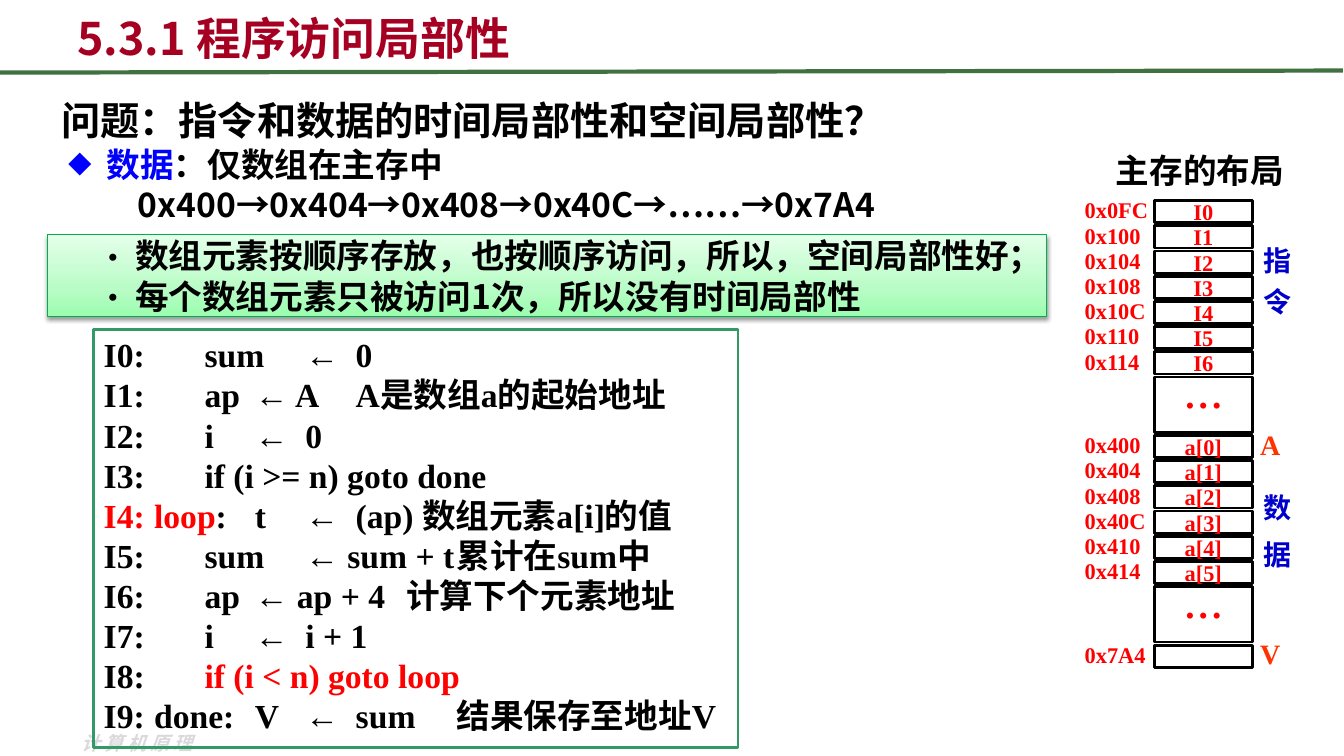
from lxml import etree
from pptx import Presentation
from pptx import util as u
from pptx.dml.color import RGBColor
from pptx.enum import shapes, text
from pptx.oxml import parse_xml
from pptx.oxml.ns import nsdecls, qn

SANS, SERIF = "Noto Sans CJK SC", "Times New Roman"
BLACK, RED, BLUE = "000000", "FF0000", "0000FF"
LEADING = 28.6
PAD = (0.1, 0.05, 0.1, 0.05)

# Memory column: left edges, first row, row height and gap
ADDR_X, CELL_X, SIDE_X = 10.66, 11.45, 12.4
MEM_TOP, CELL_W, ROW_H, SKIP_H, ROW_GAP = 1.99, 0.97, 0.22, 0.55, 0.03
DOTS = "• • •"
MEMORY = [
    ("0x0FC", "I0"), ("0x100", "I1"), ("0x104", "I2"), ("0x108", "I3"),
    ("0x10C", "I4"), ("0x110", "I5"), ("0x114", "I6"), ("", DOTS),
    ("0x400", "a[0]"), ("0x404", "a[1]"), ("0x408", "a[2]"), ("0x40C", "a[3]"),
    ("0x410", "a[4]"), ("0x414", "a[5]"), ("", DOTS), ("0x7A4", ""),
]
SIDE_MARKS = {"0x400": "A", "0x7A4": "V"}

# Code lines: runs, then the tab stops that follow the label and statement columns
LABEL_TAB, CODE_TAB = 0.57, 1.38
CODE = [
    (["I0:\t\tsum\t←\t0"], [2.14, 2.64]),
    (["I1:\t\tap\t← A\tA是数组a的起始地址"], [1.9, 2.75]),
    (["I2:\t\ti\t←\t0"], [1.72, 2.21]),
    (["I3:\t\tif (i >= n) goto done"], []),
    ([("I4:\tloop", RED), ":\tt\t←\t(ap) 数组元素a[i]的值"], [1.82, 2.31]),
    (["I5:\t\tsum\t← sum + t\t累计在sum中"], [2.14, 3.94]),
    (["I6:\t\tap\t← ap + 4\t计算下个元素地址"], [1.9, 3.51]),
    (["I7:\t\ti\t←\ti + 1"], [1.81, 2.3]),
    (["I8:\t\t", ("if (i < n) goto loop", RED)], []),
    (["I9:\tdone:\tV\t←\tsum\t结果保存至地址V"], [1.87, 2.36, 3.28]),
]


def rgb(value):
    return RGBColor.from_string(value)


def sub(parent, tag, **attrs):
    return etree.SubElement(parent, qn(tag), attrs)


def set_frame(sp, pad=PAD, anchor=text.MSO_ANCHOR.TOP):
    tf = sp.text_frame
    tf.word_wrap = True
    tf.vertical_anchor = anchor
    tf.margin_left, tf.margin_top, tf.margin_right, tf.margin_bottom = map(u.Inches, pad)
    return tf


def add_box(s, left, top, width, height, **frame):
    sp = s.shapes.add_textbox(*map(u.Inches, (left, top, width, height)))
    return set_frame(sp, **frame)


def add_rect(s, left, top, width, height, line, weight, fill=None):
    sp = s.shapes.add_shape(shapes.MSO_SHAPE.RECTANGLE,
                            *map(u.Inches, (left, top, width, height)))
    sp.shadow.inherit = False
    sp.line.color.rgb = rgb(line)
    sp.line.width = u.Pt(weight)
    if fill:
        sp.fill.solid()
        sp.fill.fore_color.rgb = rgb(fill)
    else:
        sp.fill.background()
    return sp


def write(tf, runs, size, color=BLACK, name=SERIF, align=text.PP_ALIGN.LEFT,
          leading=None, margin=0, hang=0, bullet=None, tabs=()):
    """Add one bold paragraph; a run is a string or a (string, colour) pair."""
    p = tf.paragraphs[0]
    if p.runs:
        p = tf.add_paragraph()
    p.alignment = align
    if leading:
        p.line_spacing = u.Pt(leading)
    pPr = p._p.get_or_add_pPr()
    pPr.set("marL", str(u.Inches(margin)))
    pPr.set("indent", str(-u.Inches(hang)))
    if bullet:
        char, bullet_color, percent = bullet
        sub(sub(pPr, "a:buClr"), "a:srgbClr", val=bullet_color)
        sub(pPr, "a:buSzPct", val=str(percent * 1000))
        sub(pPr, "a:buFont", typeface=SANS)
        sub(pPr, "a:buChar", char=char)
    if tabs:
        stops = sub(pPr, "a:tabLst")
        for tab in tabs:
            sub(stops, "a:tab", pos=str(u.Inches(tab)), algn="l")
    p.font.size, p.font.bold = u.Pt(size), True
    p.font.color.rgb = rgb(color)
    p.font.name = name
    sub(pPr.find(qn("a:defRPr")), "a:ea", typeface=SANS)
    for run in runs:
        words, run_color = (run, None) if isinstance(run, str) else run
        r = p.add_run()
        r.text = words
        if run_color:
            r.font.color.rgb = rgb(run_color)
    return p


def add_header(s):
    rule = s.shapes.add_connector(shapes.MSO_CONNECTOR.STRAIGHT, 0, u.Inches(0.72),
                                  u.Inches(13.32), u.Inches(0.7))
    rule.line.color.rgb = rgb("3F7141")
    rule.line.width = u.Pt(3)
    sub(rule._element.spPr, "a:effectLst")
    tf = add_box(s, 0.67, -0.03, 12, 0.72, anchor=text.MSO_ANCHOR.BOTTOM)
    write(tf, ["5.3.1 程序访问局部性"], 32, "A50021", SANS)


def add_footer(s):
    p = write(add_box(s, 0.71, 7.21, 1.46, 0.34), ["计算机原理"], 13.5, "D9D9D9", SANS)
    p.font.italic = True
    p._p.pPr.find(qn("a:defRPr")).set("spc", "300")


def add_question(s):
    tf = add_box(s, 0.51, 0.98, 10.66, 1.3)
    write(tf, ["问题：指令和数据的时间局部性和空间局部性？"], 28, name=SANS, leading=LEADING)
    write(tf, [("数据", BLUE), "：仅数组在主存中"], 24, name=SANS, leading=LEADING,
          margin=0.45, hang=0.38, bullet=("◆", BLUE, 70))
    write(tf, ["0x400→0x404→0x408→0x40C→……→0x7A4"], 24, name=SANS,
          leading=LEADING, margin=0.76)


def add_answer(s):
    sp = add_rect(s, 0.47, 2.33, 9.91, 0.81, "00B04E", 0.75)
    spPr = sp._element.spPr
    stops = "".join(f'<a:gs pos="{pos}000"><a:srgbClr val="{color}"/></a:gs>'
                    for pos, color in ((0, "E4FFE9"), (65, "BAFCC7"), (100, "9BFDAF")))
    spPr.replace(spPr.find(qn("a:noFill")), parse_xml(
        f'<a:gradFill {nsdecls("a")}><a:gsLst>{stops}</a:gsLst>'
        '<a:lin ang="5400000" scaled="0"/></a:gradFill>'))
    shadow = sub(spPr.find(qn("a:effectLst")), "a:outerShdw", blurRad=str(u.Pt(3.1)),
                 dist=str(u.Pt(1.6)), dir="5400000", rotWithShape="0")
    sub(sub(shadow, "a:srgbClr", val=BLACK), "a:alpha", val="38000")
    tf = set_frame(sp, (0, 0, 0, 0), text.MSO_ANCHOR.MIDDLE)
    for point in ("数组元素按顺序存放，也按顺序访问，所以，空间局部性好；",
                  "每个数组元素只被访问1次，所以没有时间局部性"):
        write(tf, [point], 24, name=SANS, leading=LEADING, margin=0.87, hang=0.38,
              bullet=("•", BLACK, 100))


def add_code(s):
    tf = set_frame(add_rect(s, 0.93, 3.27, 6.39, 4.15, "339966", 2), (0.1, 0.05, 0, 0.05))
    for runs, stops in CODE:
        write(tf, runs, 24, leading=LEADING, tabs=[LABEL_TAB, CODE_TAB, *stops])


def add_memory(s):
    write(add_box(s, 10.97, 1.44, 1.88, 0.5), ["主存的布局"], 24)
    top = MEM_TOP
    for address, value in MEMORY:
        height = SKIP_H if value == DOTS else ROW_H
        cell = add_rect(s, CELL_X, top, CELL_W, height, BLACK, 2, "FFFFFF")
        if value:
            write(set_frame(cell, anchor=text.MSO_ANCHOR.MIDDLE), [value], 16, RED,
                  align=text.PP_ALIGN.CENTER)
        if address:
            write(add_box(s, ADDR_X, top - 0.09, 0.95, 0.37), [address], 16, RED)
        if address in SIDE_MARKS:
            write(add_box(s, SIDE_X, top - 0.13, 0.4, 0.44), [SIDE_MARKS[address]],
                  20, "FF3300")
        top += height + ROW_GAP


def add_vertical_label(s, words, top, spacing):
    tf = add_box(s, 12.35, top, 0.53, 1.1)
    tf._txBody.bodyPr.set("vert", "eaVert")
    p = write(tf, [words], 20, "0000CC")
    p._p.pPr.find(qn("a:defRPr")).set("spc", str(spacing))


def main():
    prs = Presentation()
    prs.slide_width, prs.slide_height = u.Inches(13.33), u.Inches(7.5)
    s = prs.slides.add_slide(prs.slide_layouts[6])
    add_footer(s)
    add_header(s)
    add_question(s)
    add_answer(s)
    add_memory(s)
    add_vertical_label(s, "指令", 2.35, 950)
    add_vertical_label(s, "数据", 4.8, 1400)
    add_code(s)
    prs.save("out.pptx")


if __name__ == "__main__":
    main()
